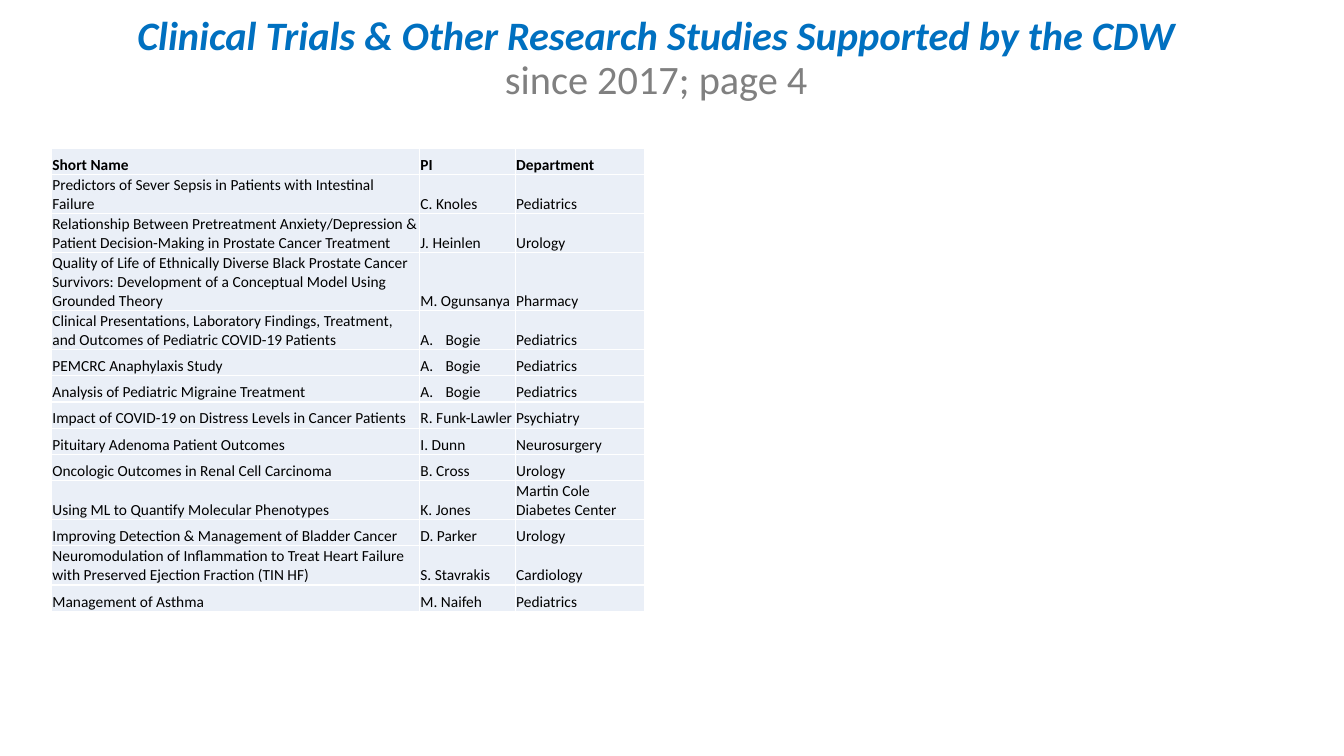
"""Build the slide that lists research studies supported by the CDW."""
import pptx
import pptx.dml.color
import pptx.enum.text
import pptx.oxml
import pptx.oxml.ns
import pptx.util

Inches = pptx.util.Inches
Pt = pptx.util.Pt
RGBColor = pptx.dml.color.RGBColor
Anchor = pptx.enum.text.MSO_ANCHOR

BLUE = RGBColor(0x00, 0x70, 0xC0)
GRAY = RGBColor(0x80, 0x80, 0x80)
BLACK = RGBColor(0x00, 0x00, 0x00)
WHITE = RGBColor(0xFF, 0xFF, 0xFF)
PALE_BLUE = RGBColor(0xEA, 0xEF, 0xF7)

NUMBERED = "A."
COLUMN_WIDTHS = (3.65, 0.95, 1.28)
ROW_HEIGHT = 0.26
TALL_ROW_HEIGHT = 0.39
TALL_ROWS = (3, 12)
STUDIES = [
    ("Short Name", "PI", "Department"),
    ("Predictors of Sever Sepsis in Patients with Intestinal Failure", "C. Knoles", "Pediatrics"),
    ("Relationship Between Pretreatment Anxiety/Depression & Patient Decision-Making "
     "in Prostate Cancer Treatment", "J. Heinlen", "Urology"),
    ("Quality of Life of Ethnically Diverse Black Prostate Cancer Survivors: Development "
     "of a Conceptual Model Using Grounded Theory", "M. Ogunsanya", "Pharmacy"),
    ("Clinical Presentations, Laboratory Findings, Treatment, and Outcomes of Pediatric "
     "COVID-19 Patients", "A. Bogie", "Pediatrics"),
    ("PEMCRC Anaphylaxis Study", "A. Bogie", "Pediatrics"),
    ("Analysis of Pediatric Migraine Treatment", "A. Bogie", "Pediatrics"),
    ("Impact of COVID-19 on Distress Levels in Cancer Patients", "R. Funk-Lawler", "Psychiatry"),
    ("Pituitary Adenoma Patient Outcomes", "I. Dunn", "Neurosurgery"),
    ("Oncologic Outcomes in Renal Cell Carcinoma", "B. Cross", "Urology"),
    ("Using ML to Quantify Molecular Phenotypes", "K. Jones", "Martin Cole Diabetes Center"),
    ("Improving Detection & Management of Bladder Cancer", "D. Parker", "Urology"),
    ("Neuromodulation of Inflammation to Treat Heart Failure with Preserved Ejection "
     "Fraction (TIN HF)", "S. Stavrakis", "Cardiology"),
    ("Management of Asthma", "M. Naifeh", "Pediatrics"),
]


def assign(target, values):
    """Set attributes of the target from a dict."""
    for name, value in values.items():
        setattr(target, name, value)


class StudySlide:
    """Hold the style and the current slide."""

    font_name = "Calibri"
    title_size = Pt(28.8)
    table_size = Pt(11)
    cell_format = {
        "vertical_anchor": Anchor.BOTTOM,
        "margin_left": Inches(0.01),
        "margin_right": Inches(0.01),
        "margin_top": Inches(0.01),
        "margin_bottom": 0,
    }

    def __init__(self, deck):
        """Add a slide with a title to the deck."""
        self.slide = deck.slides.add_slide(deck.slide_layouts[5])

    def span(self, para, text, size, color, bold=False, italic=False):
        """Add a formatted run to a paragraph."""
        span = para.add_run()
        span.text = text
        assign(span.font, {"name": self.font_name, "size": size, "bold": bold, "italic": italic})
        span.font.color.rgb = color

    def title(self, heading, subheading):
        """Fill the title placeholder with two lines."""
        box = self.slide.shapes.title
        assign(box, {"left": Inches(0.76), "top": Inches(0.15),
                     "width": Inches(11.5), "height": Inches(0.88)})
        assign(box.text_frame, {"vertical_anchor": Anchor.MIDDLE, "word_wrap": True,
                                "auto_size": pptx.enum.text.MSO_AUTO_SIZE.NONE})
        para = box.text_frame.paragraphs[0]
        assign(para, {"alignment": pptx.enum.text.PP_ALIGN.CENTER, "line_spacing": 0.9})
        self.span(para, heading, self.title_size, BLUE, bold=True, italic=True)
        para.add_line_break()
        self.span(para, subheading, self.title_size, GRAY)

    def number(self, para):
        """Give a paragraph a lettered list marker."""
        properties = para._p.get_or_add_pPr()
        properties.set("marL", str(Inches(0.25)))
        properties.set("indent", str(Inches(-0.25)))
        properties.append(pptx.oxml.parse_xml(
            f'<a:buAutoNum {pptx.oxml.ns.nsdecls("a")} type="alphaUcPeriod"/>'))

    def borders(self, cell):
        """Draw thin white borders around a cell."""
        properties = cell._tc.get_or_add_tcPr()
        for position, side in enumerate(("lnL", "lnR", "lnT", "lnB")):
            properties.insert(position, pptx.oxml.parse_xml(
                f'<a:{side} {pptx.oxml.ns.nsdecls("a")} w="{Pt(1)}"><a:solidFill>'
                f'<a:srgbClr val="{WHITE}"/></a:solidFill></a:{side}>'))

    def cell(self, cell, text, bold):
        """Format and fill one table cell."""
        assign(cell, self.cell_format)
        cell.fill.solid()
        cell.fill.fore_color.rgb = PALE_BLUE
        self.borders(cell)
        para = cell.text_frame.paragraphs[0]
        if text.startswith(NUMBERED):
            self.number(para)
            text = text.removeprefix(NUMBERED).strip()
        self.span(para, text, self.table_size, BLACK, bold=bold)

    def table(self, records):
        """Add the table of studies."""
        heights = [TALL_ROW_HEIGHT if index in TALL_ROWS else ROW_HEIGHT
                   for index in range(len(records))]
        table = self.slide.shapes.add_table(
            len(records), len(COLUMN_WIDTHS), Inches(0.51), Inches(1.47),
            Inches(sum(COLUMN_WIDTHS)), Inches(sum(heights))).table
        assign(table, {"first_row": False, "horz_banding": False})
        for column, width in zip(table.columns, COLUMN_WIDTHS):
            column.width = Inches(width)
        for index, (row, height, record) in enumerate(zip(table.rows, heights, records)):
            row.height = Inches(height)
            for cell, text in zip(row.cells, record):
                self.cell(cell, text, bold=index == 0)


deck = pptx.Presentation()
assign(deck, {"slide_width": Inches(13.33), "slide_height": Inches(7.5)})
page = StudySlide(deck)
page.title("Clinical Trials & Other Research Studies Supported by the CDW", "since 2017; page 4")
page.table(STUDIES)
deck.save("out.pptx")
